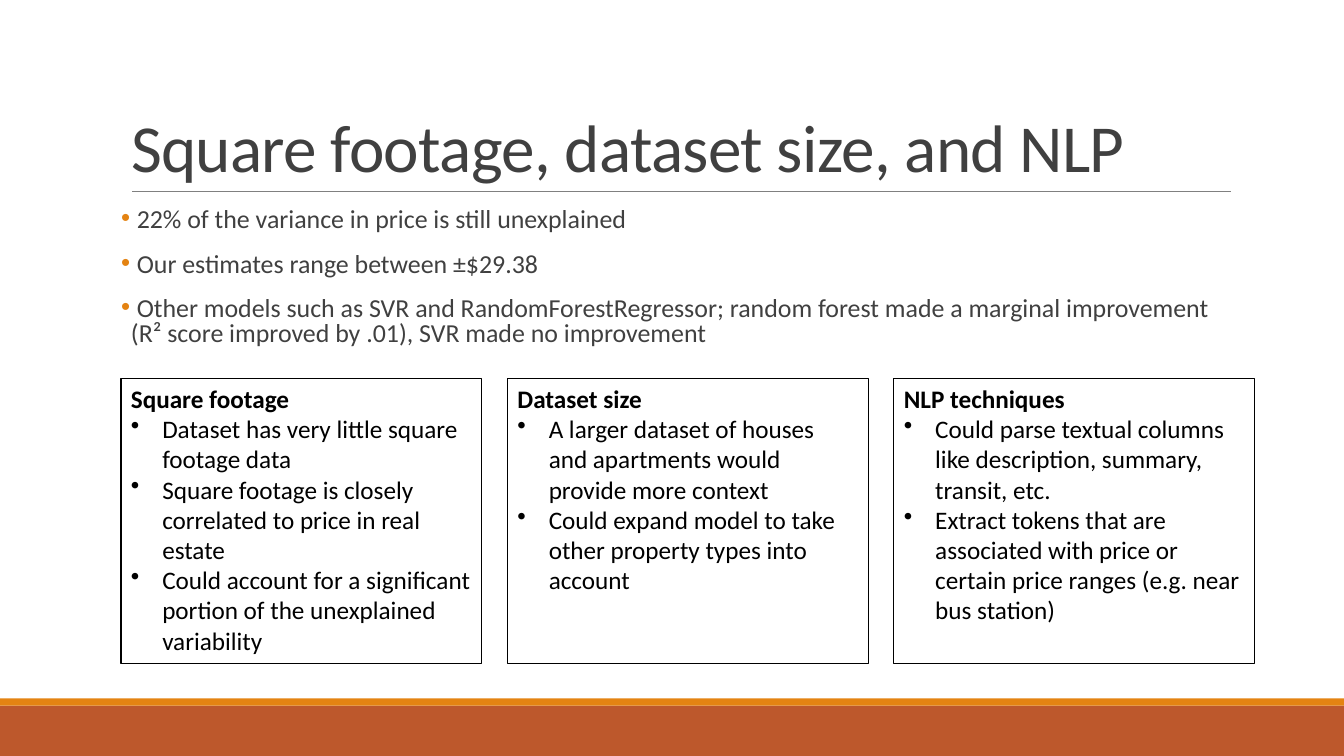
from pptx import Presentation, util as u
from pptx.dml.color import RGBColor
from pptx.enum import shapes, text
from pptx.oxml import parse_xml
from pptx.oxml.ns import nsdecls

BLACK = RGBColor(0x00, 0x00, 0x00)
INK = RGBColor(0x40, 0x40, 0x40)
GREY = RGBColor(0x80, 0x80, 0x80)
ORANGE = RGBColor(0xE4, 0x83, 0x12)
RUST = RGBColor(0xBD, 0x58, 0x2C)

LEFT = 3.05
TEXT_W = 27.94
SLIDE_W, SLIDE_H = 33.87, 19.05
CARD_W, CARD_STEP = 9.09, 9.74

TITLE = "Square footage, dataset size, and NLP"
FINDINGS = [
    " 22% of the variance in price is still unexplained",
    " Our estimates range between ±$29.38",
    " Other models such as SVR and RandomForestRegressor; random forest made a "
    "marginal improvement (R² score improved by .01), SVR made no improvement",
]
CARDS = {
    "Square footage": [
        "Dataset has very little square footage data",
        "Square footage is closely correlated to price in real estate",
        "Could account for a significant portion of the unexplained variability",
    ],
    "Dataset size": [
        "A larger dataset of houses and apartments would provide more context",
        "Could expand model to take other property types into account ",
    ],
    "NLP techniques": [
        "Could parse textual columns like description, summary, transit, etc.",
        "Extract tokens that are associated with price or certain price ranges "
        "(e.g. near bus station)",
    ],
}


def apply(target, values):
    for name, value in values.items():
        setattr(target, name, value)


class SlideBuilder:
    """Holds the text style and the current slide."""

    font = "Calibri"

    def __init__(self, s):
        self.s = s

    def place(self, sp, *box):
        apply(sp, dict(zip(("left", "top", "width", "height"), map(u.Cm, box))))

    def add_text(self, p, words, size, color, bold=False, **spacing):
        apply(p, {"alignment": text.PP_ALIGN.LEFT, **spacing})
        r = p.add_run()
        r.text = words
        apply(r.font, {"name": self.font, "size": u.Pt(size), "bold": bold})
        r.font.color.rgb = color
        return r

    def bullet(self, p, indent, color):
        pPr = p._p.get_or_add_pPr()
        pPr.set("marL", str(u.Cm(indent)))
        pPr.set("indent", str(-u.Cm(indent)))
        pPr.append(parse_xml(
            f'<a:buClr {nsdecls("a")}><a:srgbClr val="{color}"/></a:buClr>'))
        pPr.append(parse_xml(f'<a:buChar {nsdecls("a")} char="•"/>'))

    def title(self, words, *box):
        sp = self.s.shapes.title
        self.place(sp, *box)
        tf = sp.text_frame
        apply(tf, {"vertical_anchor": text.MSO_ANCHOR.BOTTOM,
                   "auto_size": text.MSO_AUTO_SIZE.NONE})
        r = self.add_text(tf.paragraphs[0], words, 48, INK, line_spacing=0.85)
        r._r.get_or_add_rPr().set("spc", "-50")

    def body(self, items, *box):
        sp = self.s.placeholders[1]
        self.place(sp, *box)
        tf = sp.text_frame
        apply(tf, {"margin_left": 0, "margin_right": 0,
                   "vertical_anchor": text.MSO_ANCHOR.TOP,
                   "auto_size": text.MSO_AUTO_SIZE.NONE})
        for i, item in enumerate(items):
            p = tf.add_paragraph() if i else tf.paragraphs[0]
            self.add_text(p, item, 18.5, INK, line_spacing=0.8,
                          space_before=u.Pt(12), space_after=u.Pt(2))
            self.bullet(p, 0.25, ORANGE)

    def rect(self, *box):
        sp = self.s.shapes.add_shape(shapes.MSO_SHAPE.RECTANGLE, *map(u.Cm, box))
        sp.shadow.inherit = False
        return sp

    def band(self, color, *box):
        sp = self.rect(*box)
        sp.fill.solid()
        sp.fill.fore_color.rgb = color
        sp.line.fill.background()

    def rule(self, *ends):
        line = self.s.shapes.add_connector(
            shapes.MSO_CONNECTOR.STRAIGHT, *map(u.Cm, ends))
        line.line.color.rgb = GREY
        line.line.width = u.Pt(0.5)
        line._element.spPr.append(parse_xml(f'<a:effectLst {nsdecls("a")}/>'))

    def card(self, heading, items, *box):
        sp = self.rect(*box)
        sp.fill.background()
        sp.line.color.rgb = BLACK
        sp.line.width = u.Pt(0.75)
        tf = sp.text_frame
        apply(tf, {"word_wrap": True, "vertical_anchor": text.MSO_ANCHOR.TOP,
                   "auto_size": text.MSO_AUTO_SIZE.SHAPE_TO_FIT_TEXT})
        self.add_text(tf.paragraphs[0], heading, 18, BLACK, bold=True)
        for item in items:
            p = tf.add_paragraph()
            self.add_text(p, item, 18, BLACK)
            self.bullet(p, 0.79, BLACK)


def main():
    prs = Presentation()
    apply(prs, {"slide_width": u.Cm(SLIDE_W), "slide_height": u.Cm(SLIDE_H)})
    slide = SlideBuilder(prs.slides.add_slide(prs.slide_layouts[1]))

    # Footer bands and title rule
    slide.band(RUST, 0, 17.78, SLIDE_W, 1.27)
    slide.band(ORANGE, 0, 17.6, SLIDE_W, 0.18)
    slide.rule(3.33, 4.83, 31.01, 4.83)

    # Title and findings
    slide.title(TITLE, LEFT, 0.79, TEXT_W, 4.04)
    slide.body(FINDINGS, LEFT, 5.13, TEXT_W, 4.01)

    # Row of cards
    for i, (heading, items) in enumerate(CARDS.items()):
        slide.card(heading, items, LEFT + i * CARD_STEP, 9.53, CARD_W, 7.19)

    prs.save("out.pptx")


if __name__ == "__main__":
    main()
